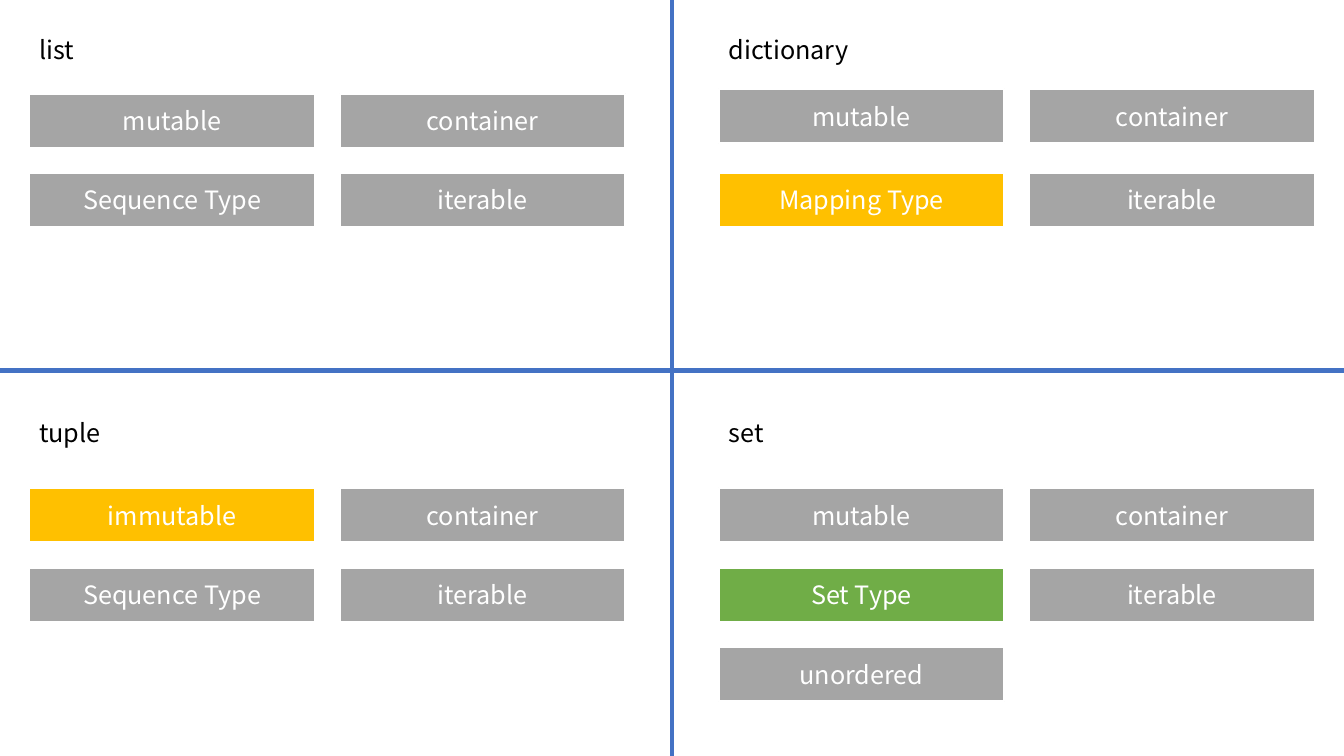
import pptx
import pptx.util
import pptx.dml.color
import pptx.enum.shapes
import pptx.enum.text
import pptx.oxml.ns
from lxml import etree


def tint(code):
    return pptx.dml.color.RGBColor.from_string(code)


class Board:
    """Hold the style, the grid and the current slide."""

    font = "Noto Sans CJK KR"
    size = pptx.util.Pt(18)
    blue, gray, gold, green = "4472C4", "A5A5A5", "FFC000", "70AD47"
    white, black = "FFFFFF", "000000"
    edge = pptx.util.Inches(0.29)
    col = pptx.util.Inches(3.08)
    row = pptx.util.Inches(0.79)
    wide, high, head = 0.92, 0.68, 0.51

    def __init__(self):
        self.deck = pptx.Presentation()
        self.deck.slide_width = pptx.util.Inches(13.33)
        self.deck.slide_height = pptx.util.Inches(7.5)
        self.slide = self.deck.slides.add_slide(self.deck.slide_layouts[6])
        self.shapes = self.slide.shapes

    def place(self, col, row, high):
        return (int(self.edge + col * self.col), int(self.edge + row * self.row),
                int(self.wide * self.col), int(high * self.row))

    def label(self, shape, text, color):
        frame = shape.text_frame
        frame.word_wrap = True
        frame.text = text
        para = frame.paragraphs[0]
        para.font.name = self.font
        para.font.size = self.size
        para.font.color.rgb = tint(color)
        return frame, para

    def rule(self, *ends):
        sides = (self.deck.slide_width, self.deck.slide_height) * 2
        spots = [int(part * side) for part, side in zip(ends, sides)]
        kind = pptx.enum.shapes.MSO_CONNECTOR.STRAIGHT
        line = self.shapes.add_connector(kind, *spots)
        line.line.color.rgb = tint(self.blue)
        line.line.width = pptx.util.Pt(3)
        props = line._element.spPr
        etree.SubElement(props, pptx.oxml.ns.qn("a:effectLst"))

    def title(self, col, row, text):
        shape = self.shapes.add_textbox(*self.place(col, row, self.head))
        frame, para = self.label(shape, text, self.black)
        frame.auto_size = pptx.enum.text.MSO_AUTO_SIZE.SHAPE_TO_FIT_TEXT

    def box(self, col, row, text, fill):
        kind = pptx.enum.shapes.MSO_SHAPE.RECTANGLE
        shape = self.shapes.add_shape(kind, *self.place(col, row, self.high))
        shape.shadow.inherit = False
        shape.fill.solid()
        shape.fill.fore_color.rgb = tint(fill)
        shape.line.color.rgb = tint(self.white)
        shape.line.width = pptx.util.Pt(1.5)
        frame, para = self.label(shape, text, self.white)
        frame.vertical_anchor = pptx.enum.text.MSO_ANCHOR.MIDDLE
        para.alignment = pptx.enum.text.PP_ALIGN.CENTER

    def panel(self, col, row, name, first, step, traits):
        self.title(col, row, name)
        for spot, trait in enumerate(traits):
            down, across = divmod(spot, 2)
            fill = marks.get(trait, self.gray)
            self.box(col + across, row + first + down * step, trait, fill)


marks = {"immutable": Board.gold, "Mapping Type": Board.gold, "Set Type": Board.green}
right, low = 2.22, 4.81
panels = [
    (0, 0, "list", 0.81, 0.99,
     ["mutable", "container", "Sequence Type", "iterable"]),
    (right, 0, "dictionary", 0.75, 1.05,
     ["mutable", "container", "Mapping Type", "iterable"]),
    (0, low, "tuple", 0.95, 1,
     ["immutable", "container", "Sequence Type", "iterable"]),
    (right, low, "set", 0.95, 1,
     ["mutable", "container", "Set Type", "iterable", "unordered"]),
]

board = Board()
board.rule(0, 0.49, 1, 0.49)
board.rule(0.5, 0, 0.5, 1)
for panel in panels:
    board.panel(*panel)
board.deck.save("out.pptx")
